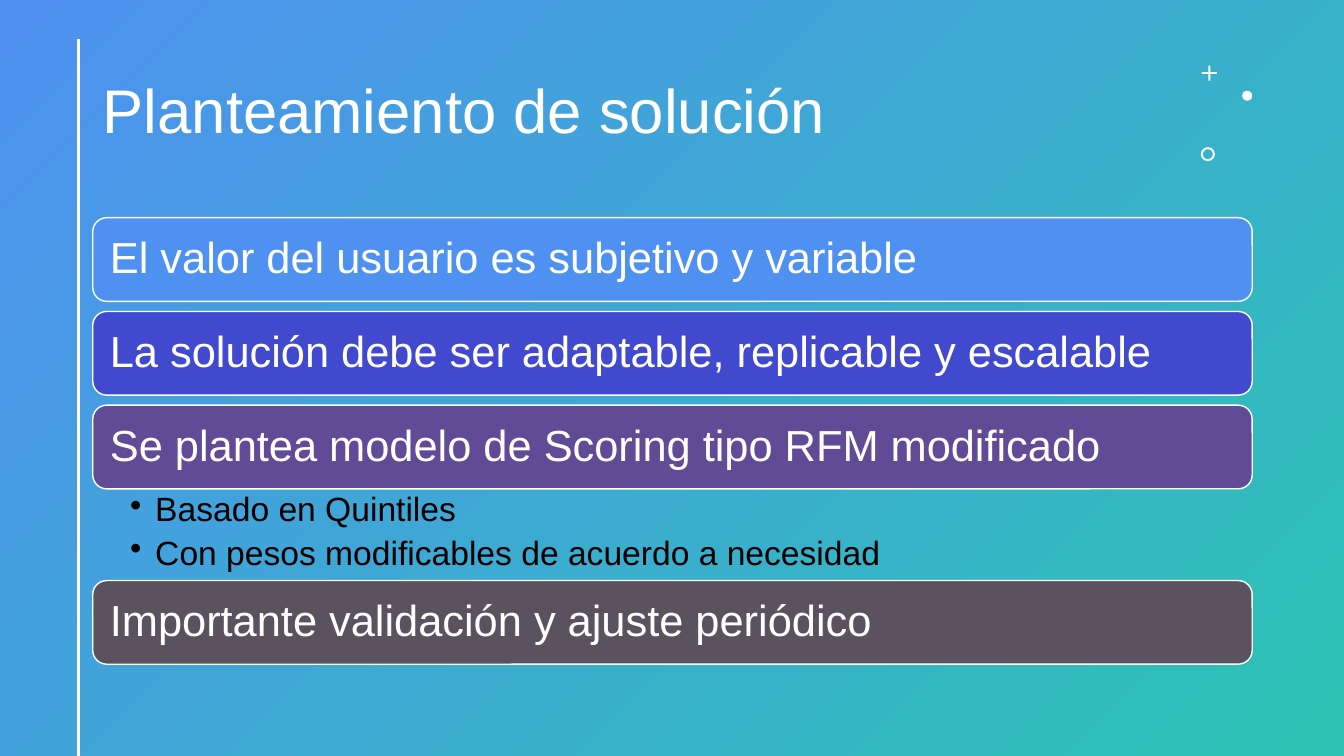
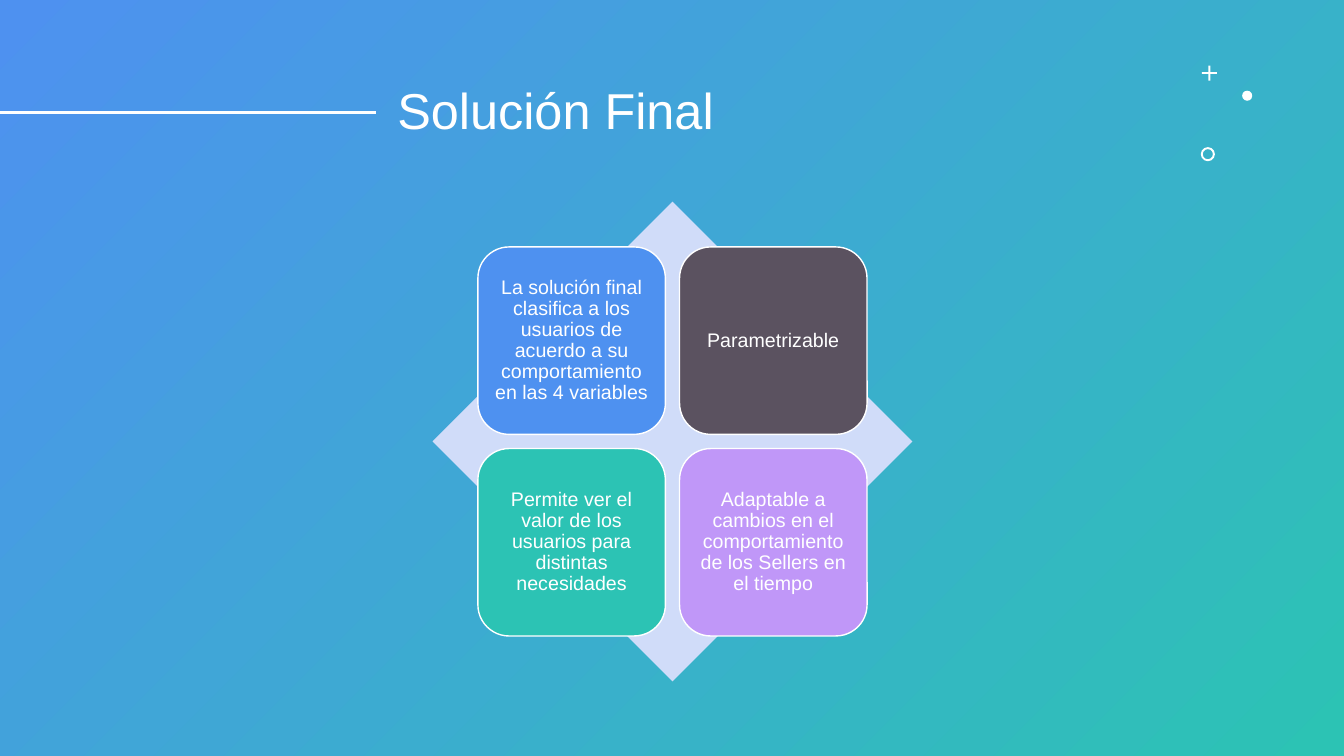
import pptx
import pptx.util
import pptx.dml.color
import pptx.enum.shapes
import pptx.enum.text
import pptx.oxml.ns
import lxml.etree

Inches = pptx.util.Inches
Pt = pptx.util.Pt
SHAPES = pptx.enum.shapes.MSO_SHAPE
ALIGN = pptx.enum.text.PP_ALIGN
ANCHOR = pptx.enum.text.MSO_ANCHOR

COLORS = {
    "white": "FFFFFF", "black": "000000", "blue": "4E91F0", "teal": "2CC3B4",
    "indigo": "414ACE", "purple": "614B96", "gray": "5B5260",
    "lilac": "C097F8", "pale": "D0DCF9",
}
FONT = "Arial"
SLIDE_WIDTH, SLIDE_HEIGHT = 13.33, 7.5

APPROACH = {
    "title": "Planteamiento de solución", "title_box": (0.92, 0.4, 10.72, 1.45),
    "title_size": 44, "rule": (0.78, 0.39, 0.78, 7.5),
}
# Bar text, bar colour, bullets below the bar
BARS = [
    ("El valor del usuario es subjetivo y variable", "blue", []),
    ("La solución debe ser adaptable, replicable y escalable", "indigo", []),
    ("Se plantea modelo de Scoring tipo RFM modificado", "purple",
     ["Basado en Quintiles", "Con pesos modificables de acuerdo a necesidad"]),
    ("Importante validación y ajuste periódico", "gray", []),
]

FINAL = {
    "title": "Solución Final", "title_box": (3.84, 0.4, 7.83, 1.45),
    "title_size": 36, "rule": (0, 1.12, 3.73, 1.12),
}
TILES = [
    ("La solución final clasifica a los usuarios de acuerdo a su "
     "comportamiento en las 4 variables", "blue"),
    ("Parametrizable", "gray"),
    ("Permite ver el valor de los usuarios para distintas necesidades", "teal"),
    ("Adaptable a cambios en el comportamiento de los Sellers en el tiempo", "lilac"),
]

# Preset, box, first adjustment
CORNER_MARKS = [
    (SHAPES.CROSS, (11.92, 0.65, 0.15, 0.15), 0.44),
    (SHAPES.OVAL, (12.32, 0.9, 0.1, 0.1), None),
    (SHAPES.DONUT, (11.91, 1.46, 0.14, 0.14), 0.14),
]


def rgb(name):
    """Return the named colour."""
    return pptx.dml.color.RGBColor.from_string(COLORS[name])


def write_text(shape, lines, size, color="white", align=ALIGN.LEFT,
               anchor=ANCHOR.MIDDLE, insets=(0.1, 0.05, 0.1, 0.05),
               bullet=False, space_after=0):
    """Fill a shape with formatted paragraphs."""
    frame = shape.text_frame
    frame.word_wrap = True
    frame.vertical_anchor = anchor
    (frame.margin_left, frame.margin_top,
     frame.margin_right, frame.margin_bottom) = map(Inches, insets)
    for index, line in enumerate(lines):
        paragraph = frame.add_paragraph() if index else frame.paragraphs[0]
        paragraph.alignment = align
        paragraph.line_spacing = 0.9
        paragraph.space_after = Pt(space_after)
        run = paragraph.add_run()
        run.text = line
        run.font.name = FONT
        run.font.size = Pt(size)
        run.font.color.rgb = rgb(color)
        if bullet:
            properties = paragraph._p.get_or_add_pPr()
            properties.set("marL", str(Inches(0.25)))
            properties.set("indent", str(Inches(-0.25)))
            mark = lxml.etree.SubElement(properties, pptx.oxml.ns.qn("a:buChar"))
            mark.set("char", "•")


def add_box(slide, preset, box, fill=None, line=None, adjustment=None):
    """Add a preset shape without a shadow."""
    shape = slide.shapes.add_shape(preset, *map(Inches, box))
    shape.shadow.inherit = False
    if fill:
        shape.fill.solid()
        shape.fill.fore_color.rgb = rgb(fill)
    if line:
        shape.line.color.rgb = rgb(line)
        shape.line.width = Pt(1)
    else:
        shape.line.fill.background()
    if adjustment is not None:
        shape.adjustments[0] = adjustment
    return shape


def add_backdrop(slide):
    """Add the diagonal gradient behind everything else."""
    backdrop = add_box(slide, SHAPES.RECTANGLE, (0, 0, SLIDE_WIDTH, SLIDE_HEIGHT))
    backdrop.fill.gradient()
    backdrop.fill.gradient_angle = 315
    for stop, position, name in zip(backdrop.fill.gradient_stops, (0, 1), ("blue", "teal")):
        stop.position = position
        stop.color.rgb = rgb(name)
    slide.shapes.title.element.addprevious(backdrop.element)


def add_rule(slide, ends):
    """Add the white line beside the title."""
    rule = slide.shapes.add_connector(
        pptx.enum.shapes.MSO_CONNECTOR.STRAIGHT, *map(Inches, ends))
    rule.line.color.rgb = rgb("white")
    rule.line.width = Pt(2)
    lxml.etree.SubElement(rule.element.spPr, pptx.oxml.ns.qn("a:effectLst"))


def add_base_slide(presentation, content):
    """Add a slide with backdrop, title, rule and corner marks."""
    slide = presentation.slides.add_slide(presentation.slide_layouts[5])
    add_backdrop(slide)
    title = slide.shapes.title
    title.left, title.top, title.width, title.height = map(Inches, content["title_box"])
    write_text(title, [content["title"]], content["title_size"])
    add_rule(slide, content["rule"])
    for preset, box, adjustment in CORNER_MARKS:
        add_box(slide, preset, box, fill="white", adjustment=adjustment)
    return slide


def build_approach(presentation):
    """Build the slide of stacked bars."""
    slide = add_base_slide(presentation, APPROACH)
    left, top, width = 0.92, 2.16, 11.5
    bar_height, gap, bullets_height = 0.83, 0.1, 0.91
    for text, color, bullets in BARS:
        bar = add_box(slide, SHAPES.ROUNDED_RECTANGLE, (left, top, width, bar_height),
                      fill=color, line="white")
        write_text(bar, [text], 31, insets=(0.13,) * 4)
        top += bar_height
        if bullets:
            box = slide.shapes.add_textbox(
                *map(Inches, (left, top, width, bullets_height)))
            write_text(box, bullets, 24, color="black", anchor=ANCHOR.TOP,
                       insets=(0.37, 0.04, 0.24, 0.04), bullet=True, space_after=5)
            top += bullets_height
        else:
            top += gap


def build_final(presentation):
    """Build the slide of four tiles over a diamond."""
    slide = add_base_slide(presentation, FINAL)
    left, top, diamond_size = 4.29, 2, 4.76
    tile_size, pitch, offset = 1.86, 2, 0.45
    add_box(slide, SHAPES.DIAMOND, (left, top, diamond_size, diamond_size), fill="pale")
    for index, (text, color) in enumerate(TILES):
        row, column = divmod(index, 2)
        box = (left + offset + column * pitch, top + offset + row * pitch,
               tile_size, tile_size)
        tile = add_box(slide, SHAPES.ROUNDED_RECTANGLE, box, fill=color, line="white")
        write_text(tile, [text], 14, align=ALIGN.CENTER, insets=(0.06,) * 4)


presentation = pptx.Presentation()
presentation.slide_width = Inches(SLIDE_WIDTH)
presentation.slide_height = Inches(SLIDE_HEIGHT)
build_approach(presentation)
build_final(presentation)
presentation.save("out.pptx")
